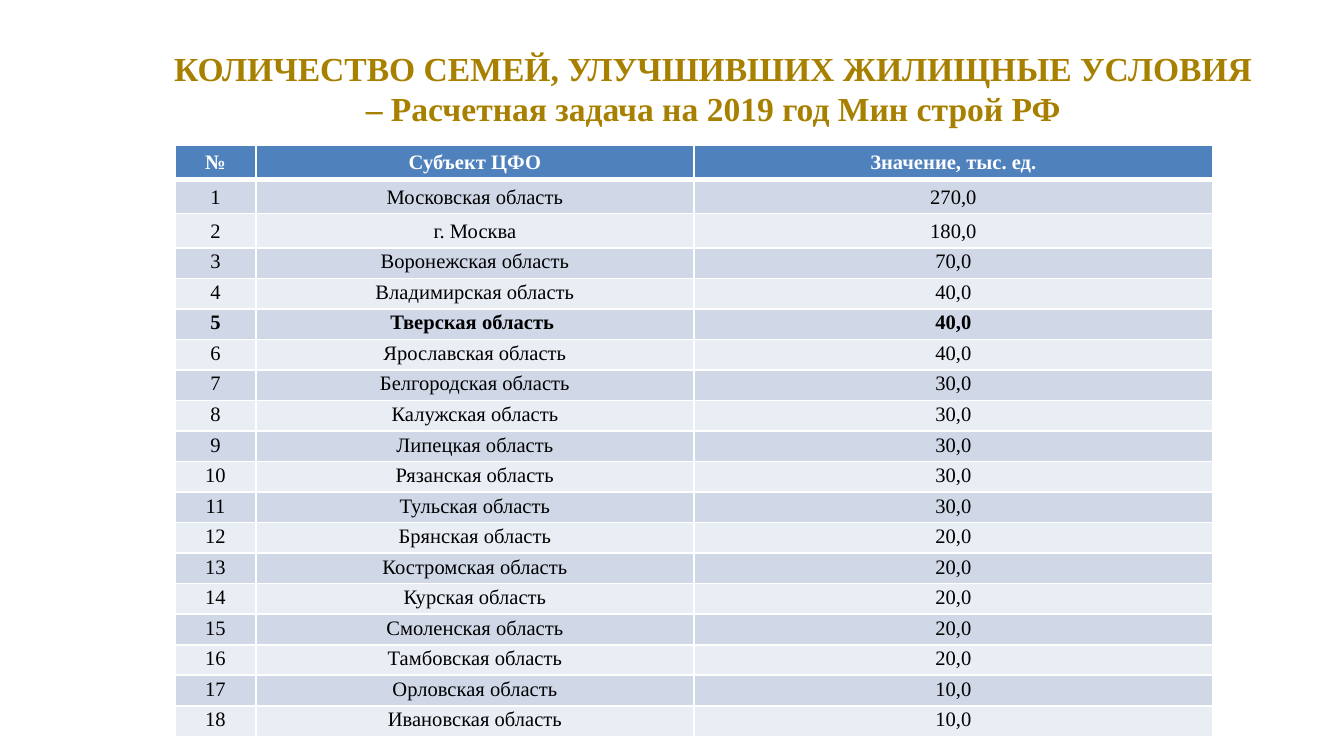
"""Build a slide with a table of families that improved their housing, by region."""
import dataclasses
import typing

import lxml.etree
import pptx
import pptx.dml.color
import pptx.enum.text
import pptx.oxml.ns
import pptx.util

EMU_PER_PX = 914400 / 134.4
FONT = "Times New Roman"
COLORS = {
    "background": "FFFFFF",
    "title": "A88000",
    "header": "4F81BD",
    "header_text": "FFFFFF",
    "odd": "D0D8E8",
    "even": "E9EDF4",
    "body_text": "000000",
    "rule": "FFFFFF",
}
HEADINGS = ("№", "Субъект ЦФО", "Значение, тыс. ед.")
COLUMN_WIDTHS = (81, 438, 519)
TABLE_HEIGHT = 593
WIDE_ROWS = 3


@dataclasses.dataclass(frozen=True)
class Region:
    name: str
    value: str
    bold: bool = False


@dataclasses.dataclass(frozen=True)
class RowStyle:
    fill: str
    color: str
    bold: bool
    spacing: int
    height: int
    top: int = 1
    bottom: int = 1


REGIONS = (
    Region("Московская область", "270,0"),
    Region("г. Москва", "180,0"),
    Region("Воронежская область", "70,0"),
    Region("Владимирская область", "40,0"),
    Region("Тверская область ", "40,0", bold=True),
    Region("Ярославская область", "40,0"),
    Region("Белгородская область", "30,0"),
    Region("Калужская область", "30,0"),
    Region("Липецкая область", "30,0"),
    Region("Рязанская область", "30,0"),
    Region("Тульская область", "30,0"),
    Region("Брянская область", "20,0"),
    Region("Костромская область", "20,0"),
    Region("Курская область", "20,0"),
    Region("Смоленская область", "20,0"),
    Region("Тамбовская область", "20,0"),
    Region("Орловская область", "10,0"),
    Region("Ивановская область", "10,0"),
)


def px(length: int) -> pptx.util.Emu:
    return pptx.util.Emu(round(length * EMU_PER_PX))


def rgb(name: str) -> pptx.dml.color.RGBColor:
    return pptx.dml.color.RGBColor.from_string(COLORS[name])


def write(frame, text: str, *, size: int, color: str, bold: bool = False,
          spacing: typing.Optional[int] = None) -> None:
    frame.word_wrap = True
    paragraph = frame.paragraphs[0]
    paragraph.alignment = pptx.enum.text.PP_ALIGN.CENTER
    if spacing:
        paragraph.line_spacing = pptx.util.Pt(spacing)
    run = paragraph.add_run()
    run.text = text
    run.font.name = FONT
    run.font.size = pptx.util.Pt(size)
    run.font.bold = bold
    run.font.color.rgb = rgb(color)


def set_margins(holder) -> None:
    holder.margin_left = holder.margin_right = px(10)
    holder.margin_top = holder.margin_bottom = px(5)


def set_borders(cell, top: int, bottom: int) -> None:
    qn = pptx.oxml.ns.qn
    properties = cell._tc.get_or_add_tcPr()
    for side, width in (("L", 1), ("R", 1), ("T", top), ("B", bottom)):
        line = lxml.etree.SubElement(properties, qn(f"a:ln{side}"), w=str(pptx.util.Pt(width)))
        fill = lxml.etree.SubElement(line, qn("a:solidFill"))
        lxml.etree.SubElement(fill, qn("a:srgbClr"), val=COLORS["rule"])


def fill_row(table, index: int, texts: typing.Sequence[str], style: RowStyle) -> None:
    table.rows[index].height = px(style.height)
    for column, text in enumerate(texts):
        cell = table.cell(index, column)
        set_margins(cell)
        set_borders(cell, style.top, style.bottom)
        cell.fill.solid()
        cell.fill.fore_color.rgb = rgb(style.fill)
        write(cell.text_frame, text, size=11, color=style.color, bold=style.bold,
              spacing=style.spacing)


def body_style(number: int, region: Region) -> RowStyle:
    wide = number < WIDE_ROWS
    return RowStyle(
        fill="odd" if number % 2 else "even",
        color="body_text",
        bold=region.bold,
        spacing=13 if wide else 11,
        height=31 if wide else 27,
        top=3 if number == 1 else 1,
    )


def add_title(slide) -> None:
    title = slide.shapes.add_textbox(px(157), px(43), px(1113), px(69))
    set_margins(title.text_frame)
    write(title.text_frame,
          "КОЛИЧЕСТВО СЕМЕЙ, УЛУЧШИВШИХ ЖИЛИЩНЫЕ УСЛОВИЯ "
          "– Расчетная задача на 2019 год Мин строй РФ",
          size=18, color="title", bold=True)


def add_regions(slide) -> None:
    regions = slide.shapes.add_table(len(REGIONS) + 1, len(HEADINGS), px(175), px(145),
                                     px(sum(COLUMN_WIDTHS)), px(TABLE_HEIGHT))
    table = regions.table
    for column, width in zip(table.columns, COLUMN_WIDTHS):
        column.width = px(width)
    fill_row(table, 0, HEADINGS,
             RowStyle("header", "header_text", True, 13, 31, bottom=3))
    for number, region in enumerate(REGIONS, start=1):
        fill_row(table, number, (str(number), region.name, region.value),
                 body_style(number, region))
    regions.height = px(TABLE_HEIGHT)


def main() -> None:
    deck = pptx.Presentation()
    deck.slide_width, deck.slide_height = px(1344), px(756)
    slide = deck.slides.add_slide(deck.slide_layouts[6])
    slide.background.fill.solid()
    slide.background.fill.fore_color.rgb = rgb("background")
    add_title(slide)
    add_regions(slide)
    deck.save("out.pptx")


if __name__ == "__main__":
    main()
